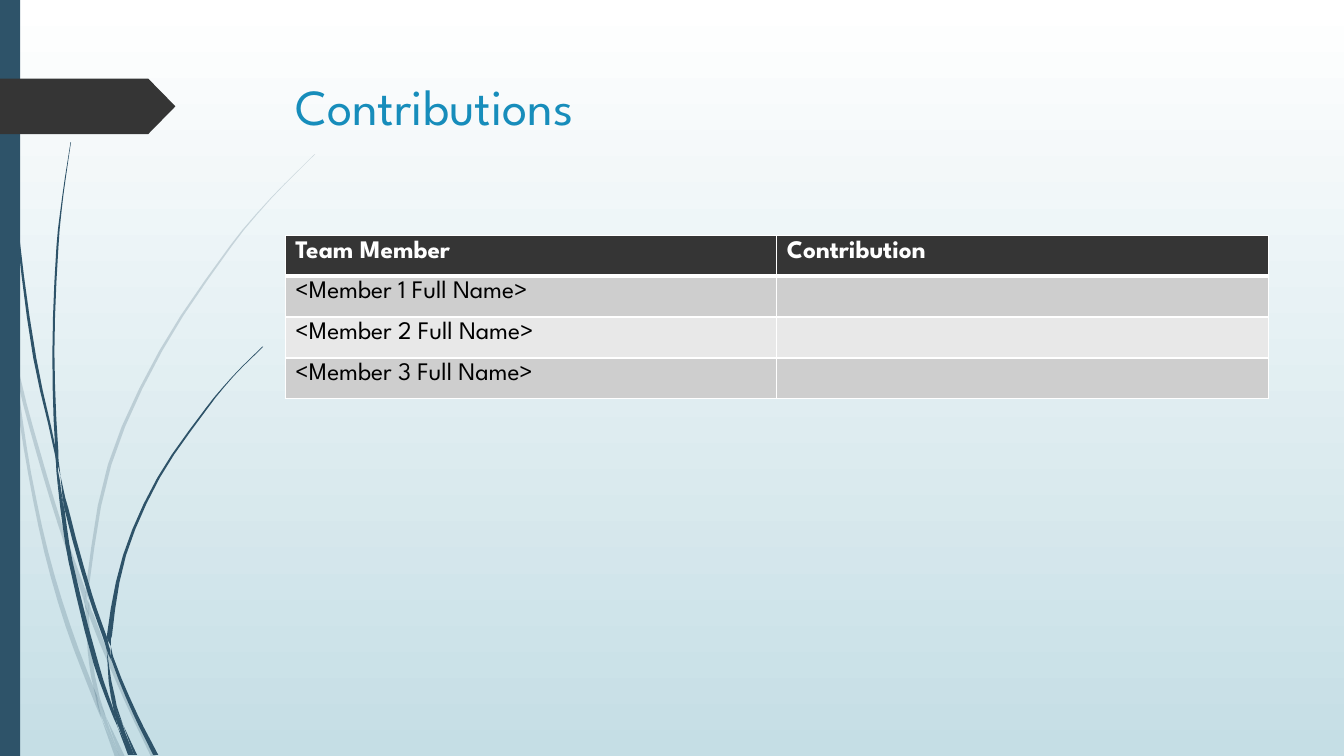
"""Build the Contributions slide: grass strands, arrow tab, title and table."""
from pptx import Presentation
from pptx.dml.color import RGBColor as RGB
from pptx.enum.shapes import MSO_SHAPE as Shape
from pptx.enum.text import MSO_ANCHOR as Anchor, MSO_AUTO_SIZE as Fit, PP_ALIGN as Align
from pptx.oxml.ns import qn
from pptx.util import Inches, Pt
from lxml.etree import SubElement as Sub

HUE = {"navy": "2E5369", "dark": "353535", "title": "178DBB", "white": "FFFFFF",
       "black": "000000", "sky": "C5DEE5", "odd": "CECECE", "even": "E8E8E8"}
FONT = "League Spartan"
UNIT = Inches(0.1)
FINE = 100
STEPS = 3


def paint(item, hue):
    item.shadow.inherit = False
    item.fill.solid()
    item.fill.fore_color.rgb = RGB.from_string(HUE[hue])
    item.line.fill.background()


def write(para, text, size, hue, bold=False):
    run = para.add_run()
    run.text = text
    run.font.name, run.font.size, run.font.bold = FONT, Pt(size), bold
    run.font.color.rgb = RGB.from_string(HUE[hue])


deck = Presentation()
deck.slide_width, deck.slide_height = Inches(13.33), Inches(7.5)
slide = deck.slides.add_slide(deck.slide_layouts[5])
shapes = slide.shapes

back = slide.background.fill
back.gradient()
back.gradient_angle = 270
for stop, hue in zip(back.gradient_stops, ("white", "sky")):
    stop.color.rgb = RGB.from_string(HUE[hue])

pale = [
    [(0, 28.2, 0), (0, 29.9, 0.4), (1, 34.4, 0.1), (1.1, 35, 0)],
    [(1.4, 34.5, 0), (1.7, 37.6, 0.35), (3.6, 44.9, 0.4), (5.8, 52.2, 0.4),
     (8, 58.6, 0.5), (8.4, 59.9, 0)],
    [(8.8, 59.6, 0), (8.8, 61, 0.5), (12.3, 69.4, 0.4), (15, 75.1, 0.5)],
    [(10.5, 71.1, 0), (11.9, 75.1, 0.5)],
    [(1.1, 35, 0), (1.6, 39.5, 0.35), (2.8, 47, 0.3), (4.4, 54.8, 0.4),
     (6.5, 62.1, 0.5), (9.1, 69, 0.5), (10.1, 71.4, 0)],
    [(8.4, 59.9, 0), (8.5, 60.9, 0.3), (8.7, 64.6, 0.4), (9.3, 68.3, 0.4), (10.5, 71.1, 0)],
    [(31.2, 15.3, 0.05), (26.8, 19.7, 0.1), (22.8, 24.4, 0.2), (15.8, 34.8, 0.3),
     (10.7, 46.1, 0.35), (8.5, 58.4, 0.3), (8.8, 59.6, 0)],
    [(10.1, 71.4, 0), (11.4, 75.1, 0.5)],
    [(8.5, 58.6, 0), (8.4, 59.9, 0.4), (8.8, 61, 0)],
    [(9.3, 68.3, 0), (9.9, 70.7, 0.45), (11.9, 75.1, 0)],
]
deep = [
    [(0.3, 0, 0.1), (0.7, 11, 0.15), (1.7, 23.3, 0.2), (3.3, 35.5, 0.3),
     (5.5, 45.3, 0.2), (5.7, 48.1, 0)],
    [(6, 47.2, 0), (6.4, 50.5, 0.4), (8.8, 59.2, 0.4), (10.2, 63.2, 0.4), (10.6, 64.5, 0)],
    [(11, 64.1, 0), (11.1, 65.6, 0.3), (13.2, 70.8, 0.4), (15.2, 74.9, 0.5)],
    [(5.7, 47.7, 0), (6, 50.5, 0.4), (6.8, 55.7, 0.4), (9.3, 65.9, 0.5),
     (11.1, 70.8, 0.3), (11.7, 72.2, 0)],
    [(7, 14.1, 0.05), (6.2, 19.3, 0.1), (5.6, 24.5, 0.2), (5.2, 34.9, 0.2),
     (5.5, 44.9, 0.3), (6, 47.2, 0)],
    [(12.2, 71.9, 0), (13.3, 74.9, 0.3)],
    [(5.5, 44.9, 0), (5.7, 47.7, 0.25), (6.4, 50.5, 0)],
    [(26, 34.4, 0.1), (23.1, 37.3, 0.1), (20.4, 40.5, 0.2), (15.6, 47.4, 0.25),
     (12.2, 55.1, 0.3), (10.6, 63.1, 0.5), (11, 64.1, 0)],
    [(11.7, 72.2, 0), (12.7, 74.9, 0.4)],
    [(10.6, 64.5, 0), (11, 69.1, 0.4), (12.2, 71.9, 0)],
    [(10.6, 63.1, 0), (10.6, 64.5, 0.35), (11.1, 65.6, 0)],
    [(11, 69.1, 0), (11.6, 71.7, 0.5), (13, 74.9, 0.3)],
]
for faint, strands in ((True, pale), (False, deep)):
    for knots in strands:
        ends = knots[:1] + knots + knots[-1:]
        curve = []
        for a, b, c, d in zip(ends, ends[1:], ends[2:], ends[3:]):
            span = c[1] - b[1]
            lean = (c[0] - a[0]) / (c[1] - a[1]) * span
            tail = (d[0] - b[0]) / (d[1] - b[1]) * span
            gap = c[0] - b[0]
            for step in range(STEPS):
                t = step / STEPS
                bend = t * t * (3 * gap - 2 * lean - tail + t * (lean + tail - 2 * gap))
                curve.append((b[0] + t * lean + bend, b[1] + t * span,
                              b[2] + t * (c[2] - b[2])))
        curve.append(knots[-1])
        edge = [(x * FINE, y * FINE) for x, y, w in curve]
        edge += [((x + w) * FINE, y * FINE) for x, y, w in reversed(curve) if w]
        form = shapes.build_freeform(*edge[0], scale=UNIT / FINE)
        form.add_line_segments(edge[1:])
        blade = form.convert_to_shape()
        paint(blade, "navy")
        if faint:
            tint = blade.fill._xPr.find(".//" + qn("a:srgbClr"))
            Sub(tint, qn("a:alpha"), val="20000")

for kind, top, wide, high, hue in ((Shape.RECTANGLE, 0, 2, 75, "navy"),
                                   (Shape.PENTAGON, 7.8, 17.4, 5.5, "dark")):
    block = shapes.add_shape(kind, 0, int(top * UNIT), int(wide * UNIT), int(high * UNIT))
    paint(block, hue)
block.adjustments[0] = 0.49

title = shapes.title
title.left, title.top, title.width, title.height = (
    int(n * UNIT) for n in (28.3, 6.9, 97.5, 14))
frame = title.text_frame
frame.auto_size, frame.vertical_anchor, frame.word_wrap = Fit.NONE, Anchor.TOP, True
frame.paragraphs[0].alignment = Align.LEFT
write(frame.paragraphs[0], "Contributions", 36, "title")

rows = [("Team Member", "Contribution")]
rows += [(f"<Member {n} Full Name>", "") for n in (1, 2, 3)]
table = shapes.add_table(len(rows), 2, *(int(n * UNIT) for n in (28.3, 23.35, 97.5, 16.2))).table
for i, row in enumerate(rows):
    head = i == 0
    for j, text in enumerate(row):
        cell = table.cell(i, j)
        if text:
            write(cell.text_frame.paragraphs[0], text, 18, "white" if head else "black", head)
        props = cell._tc.get_or_add_tcPr()
        for side in "LRTB":
            thick = 3 if (i, side) in ((0, "B"), (1, "T")) else 1
            rule = Sub(props, qn("a:ln" + side), w=str(Pt(thick)))
            Sub(Sub(rule, qn("a:solidFill")), qn("a:srgbClr"), val=HUE["white"])
        cell.fill.solid()
        cell.fill.fore_color.rgb = RGB.from_string(HUE["dark" if head else "odd" if i % 2 else "even"])

deck.save("out.pptx")
